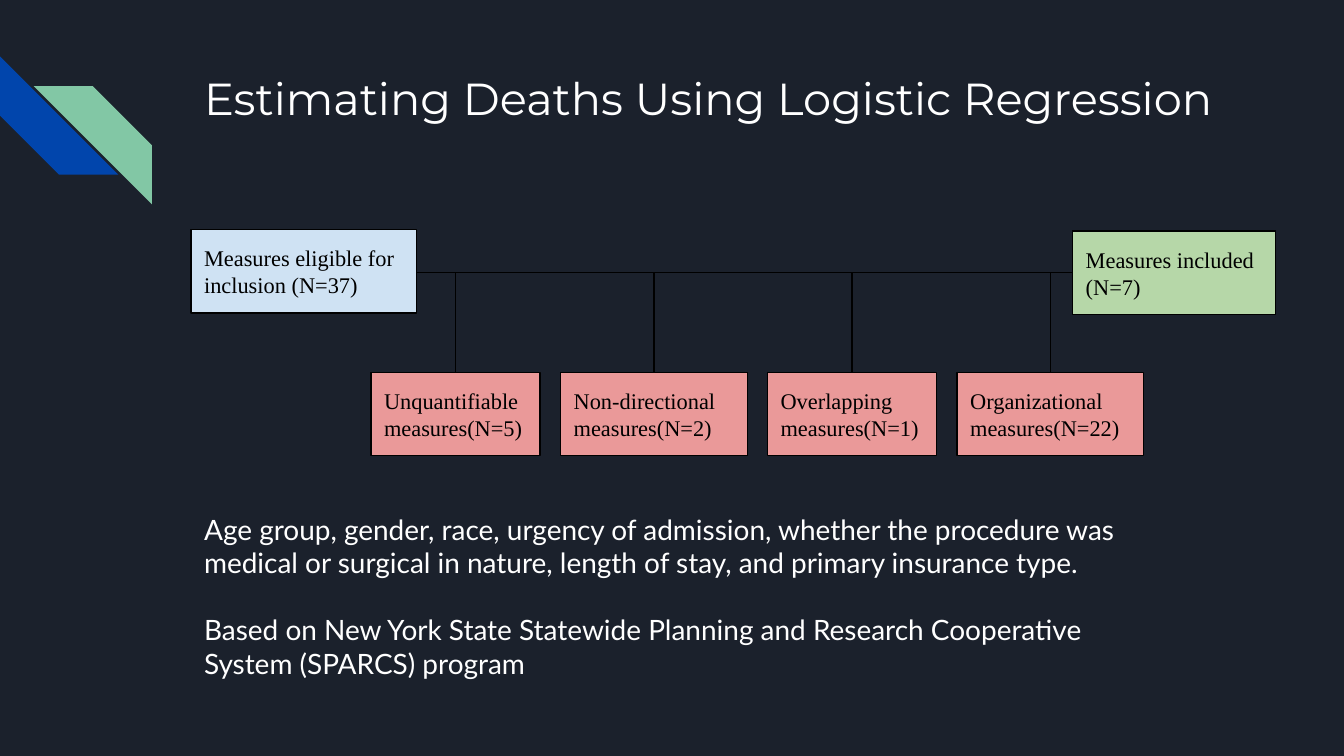
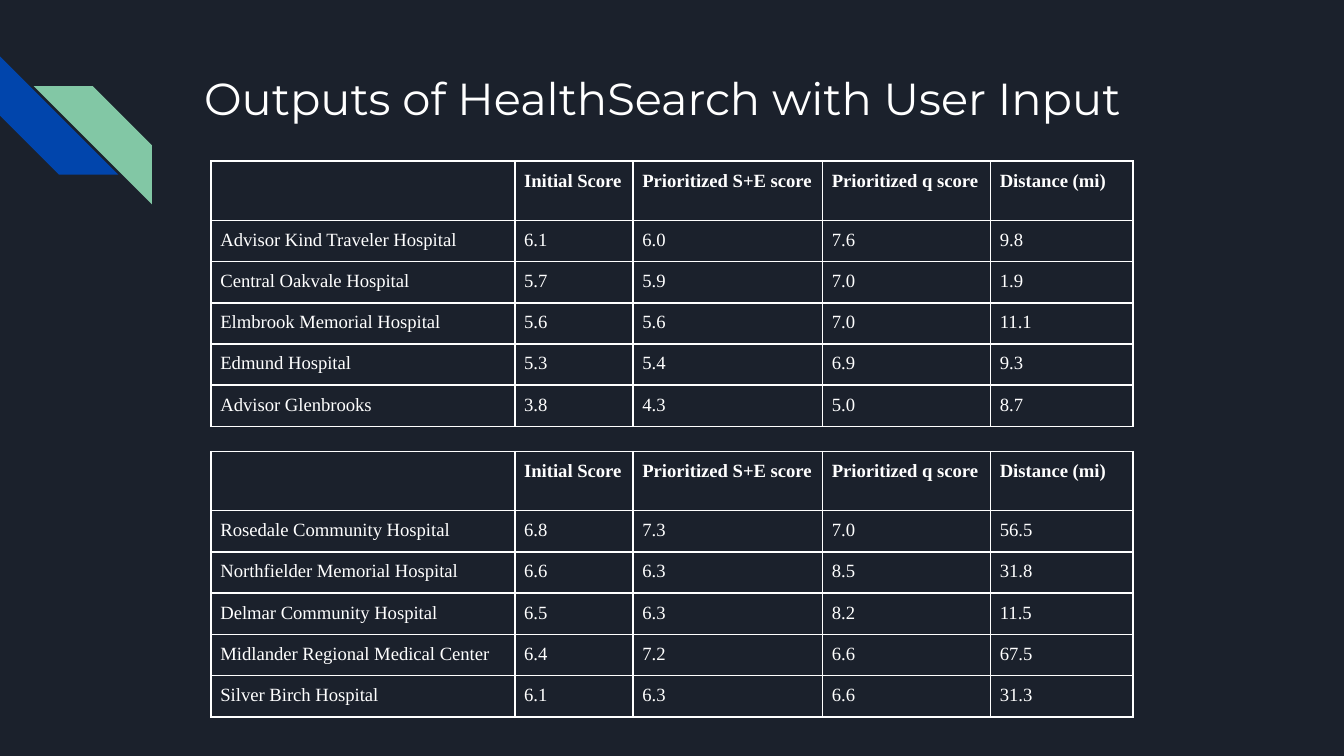
from lxml import etree
from pptx import Presentation
from pptx.dml.color import RGBColor
from pptx.enum.shapes import MSO_CONNECTOR, MSO_SHAPE
from pptx.enum.text import MSO_ANCHOR, PP_ALIGN
from pptx.oxml.ns import qn
from pptx.util import Inches, Pt

NAVY, WHITE, BLACK = "1B212C", "FFFFFF", "000000"
BLUE, GREEN = "0145AC", "82C7A5"
PALE_BLUE, PALE_GREEN, PINK = "CFE2F3", "B6D7A8", "EA9999"
TITLE_FONT, BODY_FONT, SERIF = "Montserrat", "Lato", "Times New Roman"

HEADINGS = ["", "Initial Score", "Prioritized S+E score", "Prioritized q score", "Distance (mi)"]
COLUMN_WIDTHS = [2.26, 0.88, 1.41, 1.25, 1.06]
NEARBY_HOSPITALS = [
    ["Advisor Kind Traveler Hospital", "6.1", "6.0", "7.6", "9.8"],
    ["Central Oakvale Hospital", "5.7", "5.9", "7.0", "1.9"],
    ["Elmbrook Memorial Hospital", "5.6", "5.6", "7.0", "11.1"],
    ["Edmund Hospital", "5.3", "5.4", "6.9", "9.3"],
    ["Advisor Glenbrooks", "3.8", "4.3", "5.0", "8.7"],
]
DISTANT_HOSPITALS = [
    ["Rosedale Community Hospital", "6.8", "7.3", "7.0", "56.5"],
    ["Northfielder Memorial Hospital", "6.6", "6.3", "8.5", "31.8"],
    ["Delmar Community Hospital", "6.5", "6.3", "8.2", "11.5"],
    ["Midlander Regional Medical Center", "6.4", "7.2", "6.6", "67.5"],
    ["Silver Birch Hospital", "6.1", "6.3", "6.6", "31.3"],
]


def color(value):
    return RGBColor.from_string(value)


def set_margins(holder, inset):
    holder.margin_left = holder.margin_right = Inches(inset)
    holder.margin_top = holder.margin_bottom = Inches(inset)


def write(frame, lines, font, size, ink, bold=False, gap=0):
    frame.text = "\n".join(lines)
    for index, para in enumerate(frame.paragraphs):
        para.alignment = PP_ALIGN.LEFT
        if index:
            para.space_before = Pt(gap)
        for span in para.runs:
            span.font.name, span.font.size, span.font.bold = font, Pt(size), bold
            span.font.color.rgb = color(ink)


def fill_box(box, lines, font, size, ink, gap=0):
    box.text_frame.word_wrap = True
    set_margins(box.text_frame, 0.1)
    write(box.text_frame, lines, font, size, ink, gap=gap)


def add_text(page, left, top, width, height, lines, font, size, gap=0):
    box = page.shapes.add_textbox(Inches(left), Inches(top), Inches(width), Inches(height))
    fill_box(box, lines, font, size, WHITE, gap)


def add_filled(page, kind, left, top, width, height, fill):
    shape = page.shapes.add_shape(kind, Inches(left), Inches(top), Inches(width), Inches(height))
    shape.shadow.inherit = False
    shape.fill.solid()
    shape.fill.fore_color.rgb = color(fill)
    shape.line.fill.background()
    return shape


# Background, corner stripes and title shared by every slide
def add_page(deck, title):
    page = deck.slides.add_slide(deck.slide_layouts[6])
    page.background.fill.solid()
    page.background.fill.fore_color.rgb = color(NAVY)
    lower = add_filled(page, MSO_SHAPE.DIAGONAL_STRIPE, 0, 0.42, 0.88, 0.88, BLUE)
    lower.rotation = 270
    upper = add_filled(page, MSO_SHAPE.DIAGONAL_STRIPE, 0.25, 0.64, 0.88, 0.88, GREEN)
    upper._element.spPr.xfrm.set("flipH", "1")
    add_text(page, 1.42, 0.43, 7.91, 1, [title], TITLE_FONT, 24)
    return page


def add_measure_box(page, left, top, width, fill, label, height=0.62):
    box = add_filled(page, MSO_SHAPE.RECTANGLE, left, top, width, height, fill)
    box.line.color.rgb = color(BLACK)
    box.line.width = Pt(0.75)
    box.text_frame.vertical_anchor = MSO_ANCHOR.MIDDLE
    fill_box(box, [label], SERIF, 12, BLACK)


def add_line(page, x1, y1, x2, y2):
    line = page.shapes.add_connector(
        MSO_CONNECTOR.STRAIGHT, Inches(x1), Inches(y1), Inches(x2), Inches(y2))
    line.line.color.rgb = color(BLACK)
    line.line.width = Pt(0.75)
    etree.SubElement(line._element.spPr, qn("a:effectLst"))


# Flow from eligible to included measures, with the exclusions hanging below
def add_measure_flow(page, left, top):
    rail = top + 0.32
    add_measure_box(page, left, top, 1.68, PALE_BLUE, "Measures eligible for inclusion (N=37)")
    add_measure_box(page, left + 6.56, top + 0.01, 1.51, PALE_GREEN, "Measures included (N=7)")
    add_line(page, left + 1.68, rail, left + 6.56, rail)

    exclusions = [
        ("Unquantifiable measures(N=5)", 1.26),
        ("Non-directional measures(N=2)", 1.39),
        ("Overlapping measures(N=1)", 1.26),
        ("Organizational measures(N=22)", 1.39),
    ]
    box_left, box_top = left + 1.34, top + 1.06
    for label, width in exclusions:
        add_measure_box(page, box_left, box_top, width, PINK, label)
        middle = box_left + width / 2
        add_line(page, middle, rail, middle, box_top)
        box_left += width + 0.15


def outline_cell(cell):
    properties = cell._tc.get_or_add_tcPr()
    for side in ("a:lnL", "a:lnR", "a:lnT", "a:lnB"):
        border = etree.SubElement(properties, qn(side), w=str(Pt(1)))
        fill = etree.SubElement(border, qn("a:solidFill"))
        etree.SubElement(fill, qn("a:srgbClr"), val=WHITE)


# Hospital scores below a taller heading row
def add_score_table(page, left, top, hospitals):
    rows = [HEADINGS] + hospitals
    heights = [0.42] + [0.29] * len(hospitals)
    table = page.shapes.add_table(
        len(rows), len(HEADINGS), Inches(left), Inches(top),
        Inches(sum(COLUMN_WIDTHS)), Inches(sum(heights))).table
    table.first_row = table.horz_banding = False
    for column, width in zip(table.columns, COLUMN_WIDTHS):
        column.width = Inches(width)
    for index, (values, height) in enumerate(zip(rows, heights)):
        table.rows[index].height = Inches(height)
        for cell, value in zip(table.rows[index].cells, values):
            write(cell.text_frame, [value], SERIF, 10, WHITE, bold=index == 0)
            set_margins(cell, 0.07)
            outline_cell(cell)
            cell.fill.background()


def add_regression_slide(deck):
    page = add_page(deck, "Estimating Deaths Using Logistic Regression")
    add_measure_flow(page, 1.42, 1.71)
    add_text(page, 1.42, 3.71, 7.02, 1.45, [
        "Age group, gender, race, urgency of admission, whether the procedure was "
        "medical or surgical in nature, length of stay, and primary insurance type.",
        "Based on New York State Statewide Planning and Research Cooperative "
        "System (SPARCS) program",
    ], BODY_FONT, 15, gap=18)


def add_output_slide(deck):
    page = add_page(deck, "Outputs of HealthSearch with User Input")
    for top, hospitals in ((1.2, NEARBY_HOSPITALS), (3.36, DISTANT_HOSPITALS)):
        add_score_table(page, 1.57, top, hospitals)


def main():
    deck = Presentation()
    deck.slide_width = Inches(10)
    deck.slide_height = Inches(10 * 9 / 16)
    add_regression_slide(deck)
    add_output_slide(deck)
    deck.save("out.pptx")


if __name__ == "__main__":
    main()
